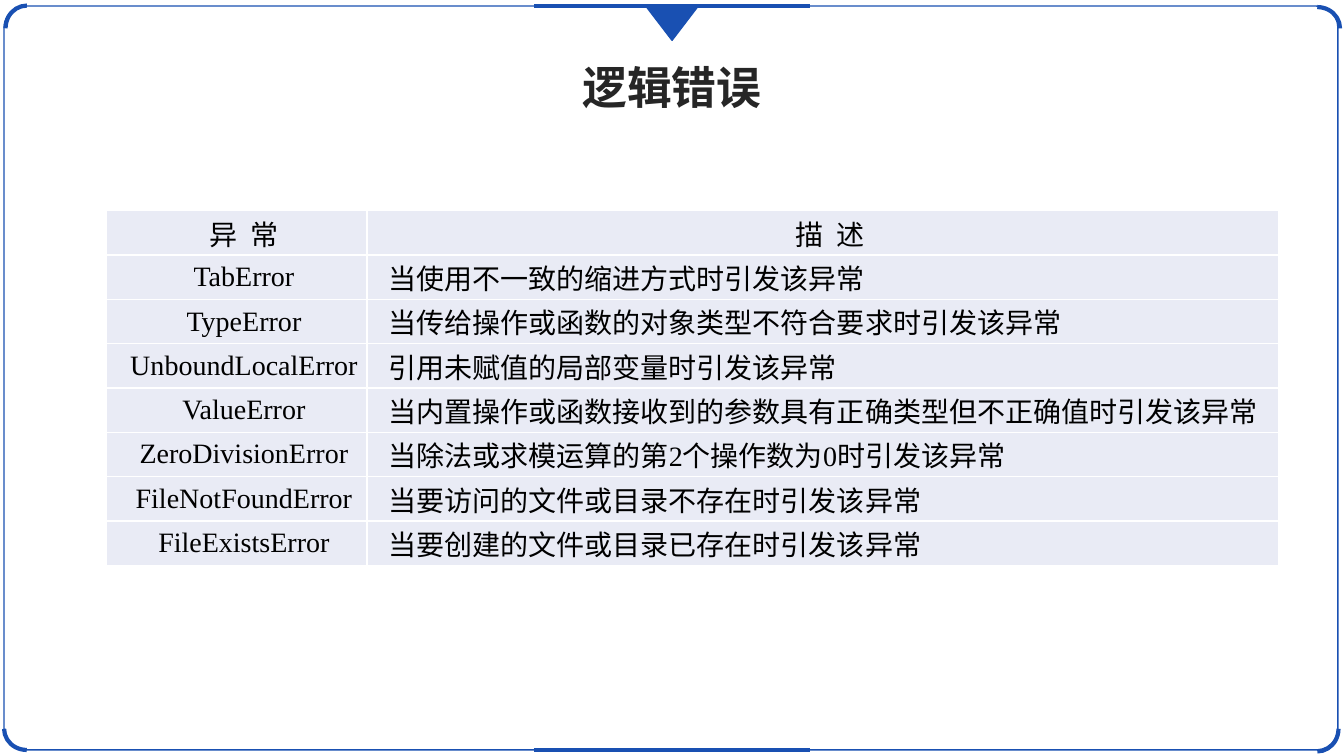
from lxml import etree
from pptx import Presentation
from pptx.dml.color import RGBColor
from pptx.enum.lang import MSO_LANGUAGE_ID as LANG
from pptx.enum.shapes import MSO_CONNECTOR, MSO_SHAPE
from pptx.enum.text import MSO_ANCHOR, MSO_AUTO_SIZE, PP_ALIGN
from pptx.oxml.ns import qn
from pptx.util import Inches, Pt

# Content
TITLE = "逻辑错误"
ROWS = [
    ("异 常", "描 述"),
    ("TabError", "当使用不一致的缩进方式时引发该异常"),
    ("TypeError", "当传给操作或函数的对象类型不符合要求时引发该异常"),
    ("UnboundLocalError", "引用未赋值的局部变量时引发该异常"),
    ("ValueError", "当内置操作或函数接收到的参数具有正确类型但不正确值时引发该异常"),
    ("ZeroDivisionError", "当除法或求模运算的第2个操作数为0时引发该异常"),
    ("FileNotFoundError", "当要访问的文件或目录不存在时引发该异常"),
    ("FileExistsError", "当要创建的文件或目录已存在时引发该异常"),
]
COLORS = {"blue": "1950B2", "title": "262626", "text": "000000",
          "cell": "E9EBF5", "border": "FFFFFF"}
FONT = "Times New Roman"

# Layout, in inches
WIDTH, HEIGHT = 13.33, 7.5
FRAME_X, FRAME_Y = 0.04, 0.06
ARC_W, ARC_H = 0.45, 0.42
BAR_W = 2.74
TABLE_X, TABLE_Y, COL_WIDTHS, ROW_H = 1.06, 2.09, (2.58, 9.04), 0.44


def rgb(name):
    return RGBColor.from_string(COLORS[name])


def box(x, y, w, h):
    return [Inches(v) for v in (x, y, w, h)]


def add_outline(s, kind, place, weight, rotation=0, fill=None):
    sp = s.shapes.add_shape(kind, *box(*place))
    sp.shadow.inherit = False
    sp.rotation = rotation
    if fill:
        sp.fill.solid()
        sp.fill.fore_color.rgb = rgb(fill)
    else:
        sp.fill.background()
    sp.line.color.rgb = rgb("blue")
    sp.line.width = Pt(weight)
    return sp


def style_run(r, size, color, bold=False):
    r.font.name, r.font.size, r.font.bold = FONT, Pt(size), bold
    r.font.color.rgb = rgb(color)
    r.font.language_id = LANG.SIMPLIFIED_CHINESE


def add_borders(cell):
    tcPr = cell._tc.get_or_add_tcPr()
    for i, side in enumerate(("lnL", "lnR", "lnT", "lnB")):
        ln = etree.Element(qn(f"a:{side}"), w=str(Pt(1)))
        fill = etree.SubElement(ln, qn("a:solidFill"))
        etree.SubElement(fill, qn("a:srgbClr"), val=COLORS["border"])
        tcPr.insert(i, ln)


def add_frame(s):
    # Thin rounded border
    border = add_outline(s, MSO_SHAPE.ROUNDED_RECTANGLE,
                         (FRAME_X, FRAME_Y, WIDTH - 0.1, HEIGHT - 2 * FRAME_Y), 1)
    border.adjustments[0] = 0.029

    # Thick corner arcs, clockwise from the top right
    left, right = FRAME_X, WIDTH - FRAME_X - ARC_W
    top, bottom = FRAME_Y + 0.01, HEIGHT - FRAME_Y - ARC_H
    corners = [(right, top), (right, bottom), (left, bottom), (left, top)]
    for i, (x, y) in enumerate(corners):
        add_outline(s, MSO_SHAPE.ARC, (x, y, ARC_W, ARC_H), 3, 90 * i)

    # Thick bars at the middle of the top and bottom edges
    x = (WIDTH - BAR_W) / 2
    for y in (FRAME_Y, HEIGHT - FRAME_Y):
        bar = s.shapes.add_connector(MSO_CONNECTOR.STRAIGHT,
                                     *box(x, y, x + BAR_W, y))
        bar.line.color.rgb = rgb("blue")
        bar.line.width = Pt(3)
        etree.SubElement(bar._element.spPr, qn("a:effectLst"))

    # Pointer above the title
    add_outline(s, MSO_SHAPE.ISOSCELES_TRIANGLE,
                ((WIDTH - 0.52) / 2, FRAME_Y, 0.52, 0.34), 1, 180, "blue")


def add_title(s):
    sp = s.shapes.title
    sp.left, sp.top, sp.width, sp.height = box((WIDTH - 2) / 2, 0.54, 2, 0.64)
    tf = sp.text_frame
    tf.text = TITLE
    tf.word_wrap = False
    tf.auto_size = MSO_AUTO_SIZE.NONE
    tf.vertical_anchor = MSO_ANCHOR.MIDDLE
    p = tf.paragraphs[0]
    p.alignment = PP_ALIGN.CENTER
    style_run(p.runs[0], 32, "title", True)


def add_error_table(s):
    place = box(TABLE_X, TABLE_Y, sum(COL_WIDTHS), ROW_H * len(ROWS))
    table = s.shapes.add_table(len(ROWS), len(COL_WIDTHS), *place).table
    table.first_row = table.horz_banding = False
    for col, width in zip(table.columns, COL_WIDTHS):
        col.width = Inches(width)
    for i, texts in enumerate(ROWS):
        table.rows[i].height = Inches(ROW_H)
        for j, text in enumerate(texts):
            cell = table.cell(i, j)
            cell.fill.solid()
            cell.fill.fore_color.rgb = rgb("cell")
            add_borders(cell)
            cell.vertical_anchor = MSO_ANCHOR.MIDDLE
            cell.margin_left = cell.margin_right = Inches(0.07)
            cell.margin_top = cell.margin_bottom = 0
            p = cell.text_frame.paragraphs[0]
            p.text = text
            p.alignment = PP_ALIGN.CENTER if i == 0 or j == 0 else PP_ALIGN.LEFT
            p._p.get_or_add_pPr().set("indent", str(Inches(0.14)))
            r = p.runs[0]
            style_run(r, 20, "text")
            if i == 0:  # spaced-out header letters
                r._r.get_or_add_rPr().set("spc", "250")


def main():
    prs = Presentation()
    prs.slide_width, prs.slide_height = Inches(WIDTH), Inches(HEIGHT)
    s = prs.slides.add_slide(prs.slide_layouts[5])
    add_frame(s)
    add_title(s)
    add_error_table(s)
    prs.save("out.pptx")


if __name__ == "__main__":
    main()
